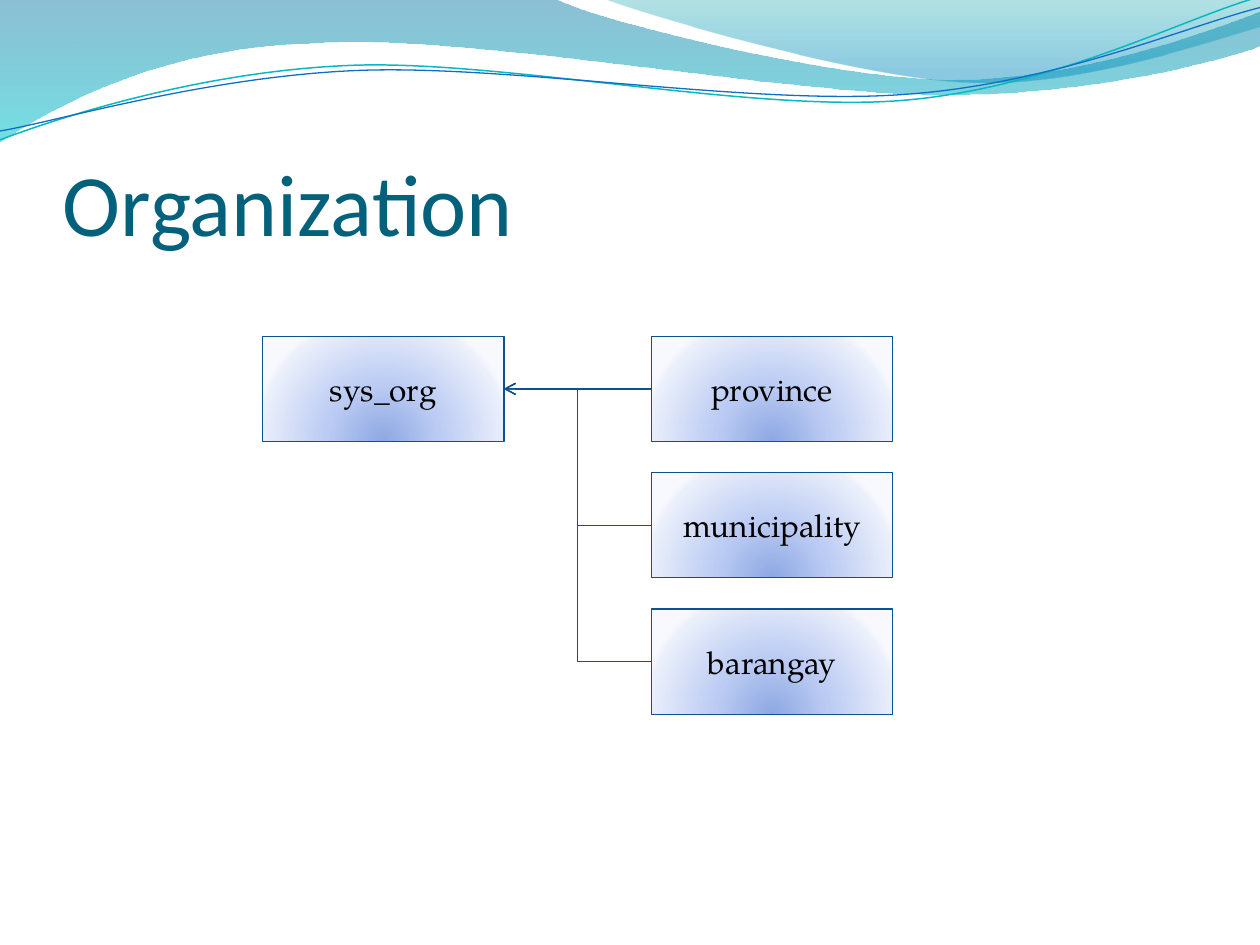
from lxml import etree
from pptx import Presentation
from pptx import util as u
from pptx.dml.color import RGBColor
from pptx.enum import shapes, text
from pptx.oxml.ns import qn

BLUE = "095295"
GLOW = [(0, "8DA8E3", 100), (43, "BBCBF3", 100), (93, "EAEFFB", 100), (100, "F7F9FF", 100)]

# Wave outlines in hundredths of the slide width: start, then lines (2) or curves (6)
BROAD = [(0, 0), (44, -0.1), (47.6, 1.7, 66.4, 6.3, 75.8, 6.3),
         (85.3, 6.3, 95.8, 2.6, 100, 0.9), (100.1, 3.6),
         (98.3, 4.4, 87, 7.6, 74.6, 7.5), (62.2, 7.5, 38.2, 2.8, 25.7, 3.4),
         (12.9, 3.6, 4.6, 8.3, -0.1, 11.3), (0, 0)]
RIGHT = [(47.9, -0.1), (50.9, 1.1, 68.2, 6.2, 76.9, 6.5),
         (85.6, 6.9, 96.1, 3.2, 100, 2.1), (100, 0), (47.9, -0.1)]
TEAL = [(0, 11.1), (4.8, 9.3, 15.8, 5.7, 27.7, 5.2), (39.5, 4.7, 59.3, 8.9, 71.3, 8),
        (83.3, 7.1, 93.8, 1.5, 99.8, -0.2)]
NAVY = [(0, 10.4), (4.7, 9.6, 16.4, 6.1, 28.3, 5.6), (40.3, 5.1, 59.7, 8.4, 71.7, 7.5),
        (83.6, 6.7, 94.1, 2.1, 100, 0.6)]


def color(code):
    return RGBColor.from_string(code)


def stroke(shape, code, width=0.75):
    shape.line.color.rgb = color(code)
    shape.line.width = u.Pt(width)


def grade(shape, stops, rect=None):
    """Fill top to bottom, or as a circle around rect."""
    shape.fill.solid()
    solid = shape._element.spPr.find(qn("a:solidFill"))
    grad = etree.Element(qn("a:gradFill"), rotWithShape="1")
    group = etree.SubElement(grad, qn("a:gsLst"))
    for pos, code, alpha in stops:
        stop = etree.SubElement(group, qn("a:gs"), pos=str(pos * 1000))
        tint = etree.SubElement(stop, qn("a:srgbClr"), val=code)
        etree.SubElement(tint, qn("a:alpha"), val=str(alpha * 1000))
    if rect:
        ring = etree.SubElement(grad, qn("a:path"), path="circle")
        sides = {side: str(n * 1000) for side, n in zip("ltrb", rect)}
        etree.SubElement(ring, qn("a:fillToRect"), **sides)
    else:
        etree.SubElement(grad, qn("a:lin"), ang="5400000", scaled="1")
    solid.getparent().replace(solid, grad)


def bend(shape, steps):
    """Join each three lines that stand for one curve."""
    lines = iter(list(shape._element.iter(qn("a:lnTo"))))
    for step in steps[1:]:
        first = next(lines)
        if len(step) == 6:
            curve = etree.Element(qn("a:cubicBezTo"))
            first.addprevious(curve)
            for line in (first, next(lines), next(lines)):
                curve.append(line[0])
                line.getparent().remove(line)


def wave(slide, left, top, width, steps, close):
    unit = width / 100
    points = [(u.Cm(left + step[i] * unit), u.Cm(top + step[i + 1] * unit))
              for step in steps for i in range(0, len(step), 2)]
    pen = slide.shapes.build_freeform(*points[0])
    pen.add_line_segments(points[1:], close=close)
    shape = pen.convert_to_shape()
    bend(shape, steps)
    shape.shadow.inherit = False
    return shape


def header(slide, left, top, width):
    # Filled bands
    for steps, stops in ((BROAD, [(0, "0074A1", 45), (100, "00C6CF", 55)]),
                         (RIGHT, [(0, "00A1A9", 30), (80, "008BBF", 45)])):
        band = wave(slide, left, top, width, steps, True)
        grade(band, stops)
        band.line.fill.background()
    # Thin curves
    for steps, code, size in ((TEAL, "0AB8BF", 0.85), (NAVY, "0F6FC6", 0.75)):
        curve = wave(slide, left, top, width, steps, False)
        curve.fill.background()
        stroke(curve, code, size)


def write(frame, words, font, size, code):
    run = frame.paragraphs[0].add_run()
    run.text = words
    run.font.name, run.font.size = font, u.Pt(size)
    run.font.color.rgb = color(code)


def title(slide, left, top, width, height, words):
    frame = slide.shapes.add_textbox(*map(u.Cm, (left, top, width, height))).text_frame
    frame.word_wrap = True
    frame.vertical_anchor = text.MSO_ANCHOR.BOTTOM
    frame.margin_left = frame.margin_right = frame.margin_bottom = 0
    write(frame, words, "Calibri", 50, "04617B")


def node(slide, left, top, width, height, words):
    box = slide.shapes.add_shape(shapes.MSO_SHAPE.RECTANGLE,
                                 *map(u.Cm, (left, top, width, height)))
    box.shadow.inherit = False
    grade(box, GLOW, (50, 130, 50, -30))
    stroke(box, BLUE)
    frame = box.text_frame
    frame.vertical_anchor = text.MSO_ANCHOR.MIDDLE
    frame.paragraphs[0].alignment = text.PP_ALIGN.CENTER
    write(frame, words, "TeX Gyre Pagella", 18, "000000")
    return box


def link(slide, child, root, kind):
    line = slide.shapes.add_connector(kind, 0, 0, 0, 0)
    line.begin_connect(child, 1)
    line.end_connect(root, 3)
    stroke(line, BLUE)
    etree.SubElement(line.line._get_or_add_ln(), qn("a:tailEnd"), type="arrow")
    etree.SubElement(line._element.spPr, qn("a:effectLst"))


def tree(slide, left, top, width, height, root, names):
    """Root at the left, its children stacked at the right."""
    wide, tall = 4.87, 2.12
    pitch = (height - tall) / (len(names) - 1)
    base = node(slide, left, top, wide, tall, root)
    kids = [node(slide, left + width - wide, top + i * pitch, wide, tall, name)
            for i, name in enumerate(names)]
    # Arrows from the children to the root
    for i, kid in enumerate(kids):
        kind = shapes.MSO_CONNECTOR.ELBOW if i else shapes.MSO_CONNECTOR.STRAIGHT
        link(slide, kid, base, kind)


def main():
    deck = Presentation()
    deck.slide_width, deck.slide_height = u.Cm(25.4), u.Cm(19.05)
    slide = deck.slides.add_slide(deck.slide_layouts[6])
    header(slide, 0, 0, 25.4)
    title(slide, 1.27, 1.96, 22.86, 3.17, "Organization")
    tree(slide, 5.29, 6.78, 12.71, 7.62, "sys_org", ["province", "municipality", "barangay"])
    deck.save("out.pptx")


if __name__ == "__main__":
    main()
